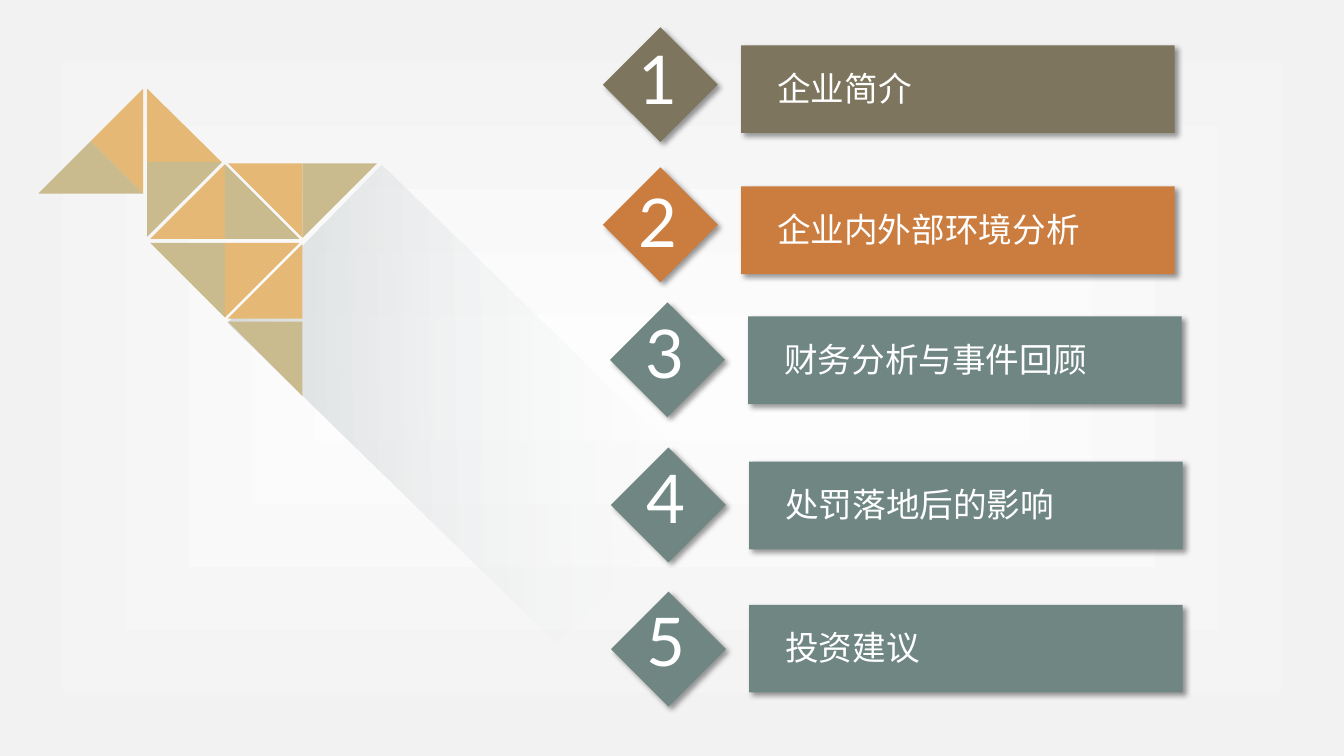
import pptx
import pptx.dml.color
import pptx.enum.shapes
import pptx.enum.text
import pptx.oxml
import pptx.oxml.ns
import pptx.util
from lxml import etree

PX = 9144  # 100 px to the inch
SHAPE = pptx.enum.shapes.MSO_SHAPE
qn = pptx.oxml.ns.qn
GOLD, SAND = "E6B875", "CABB8F"
OLIVE, RUST, TEAL = "7D755D", "CB7D40", "6F8683"

# Corners of each triangle, within the bird's box
BIRD = [
    (GOLD, (104, 0), (52, 52), (104, 104)),
    (SAND, (104, 104), (52, 52), (0, 104)),
    (GOLD, (108, 0), (108, 73), (182, 73)),
    (SAND, (182, 73), (108, 73), (108, 147)),
    (GOLD, (111, 149), (185, 149), (185, 75)),
    (SAND, (185, 75), (185, 149), (259, 149)),
    (GOLD, (259, 153), (185, 153), (185, 227)),
    (SAND, (185, 227), (185, 153), (111, 153)),
    (SAND, (336, 74), (262, 74), (262, 148)),
    (GOLD, (262, 148), (262, 74), (188, 74)),
    (SAND, (262, 305), (262, 231), (188, 231)),
    (GOLD, (188, 228), (262, 228), (262, 154)),
]

# Left and top of the row, drop of the number and of the bar, colour, label
ROWS = [
    (598, 27, 5, 18, OLIVE, "企业简介"),
    (598, 166, 8, 19, RUST, "企业内外部环境分析"),
    (605, 300, 4, 14, TEAL, "财务分析与事件回顾"),
    (606, 444, 4, 14, TEAL, "处罚落地后的影响"),
    (606, 587, 3, 13, TEAL, "投资建议"),
]


def px(*sizes):
    return [pptx.util.Emu(size * PX) for size in sizes]


def rgb(code):
    return pptx.dml.color.RGBColor.from_string(code)


def paint(shape, code):
    shape.shadow.inherit = False
    shape.fill.solid()
    shape.fill.fore_color.rgb = rgb(code)
    shape.line.fill.background()


def blend(fill, *codes):
    """Give a fill a two-stop gradient."""
    fill.gradient()
    for stop, code, place in zip(fill.gradient_stops, codes, (0, 1)):
        stop.color.rgb = rgb(code)
        stop.position = place


def cast(shape):
    """Add a soft shadow to the lower right."""
    effects = shape._element.spPr.find(qn("a:effectLst"))
    outer = etree.SubElement(
        effects, qn("a:outerShdw"), blurRad=str(pptx.util.Pt(4)),
        dist=str(pptx.util.Pt(3)), dir="2700000", algn="tl", rotWithShape="0")
    black = etree.SubElement(outer, qn("a:srgbClr"), val="000000")
    etree.SubElement(black, qn("a:alpha"), val="40000")


def block(slide, kind, box, code):
    shape = slide.shapes.add_shape(kind, *px(*box))
    paint(shape, code)
    cast(shape)


def write(slide, box, text, size, face):
    frame = slide.shapes.add_textbox(*px(*box)).text_frame
    frame.word_wrap = False
    frame.auto_size = pptx.enum.text.MSO_AUTO_SIZE.SHAPE_TO_FIT_TEXT
    para = frame.paragraphs[0]
    para.text = text
    para.font.size = pptx.util.Pt(size)
    para.font.color.rgb = rgb("FFFFFF")
    para.font.name = face
    props = para._p.pPr.find(qn("a:defRPr"))
    etree.SubElement(props, qn("a:ea"), typeface=face)


def backdrop(slide):
    blend(slide.background.fill, "FDFDFD", "F2F2F2")
    grad = next(slide._element.iter(qn("a:gradFill")))
    grad.remove(grad.find(qn("a:lin")))
    focus = etree.SubElement(grad, qn("a:path"), path="shape")
    etree.SubElement(focus, qn("a:fillToRect"),
                     l="50000", t="50000", r="50000", b="50000")


def bird(slide, left, top):
    """Draw the triangle bird and the long pale shade it throws."""
    group = slide.shapes.add_group_shape()
    shade = group.shapes.add_shape(
        SHAPE.RECTANGLE, *px(left + 199, top + 203, 456, 219))
    shade.rotation = 44.3
    shade.shadow.inherit = False
    shade.line.fill.background()
    blend(shade.fill, "FDFDFD", "D7DBDC")
    shade.fill.gradient_angle = 225
    pale = next(shade._element.spPr.iter(qn("a:srgbClr")))
    etree.SubElement(pale, qn("a:alpha"), val="6000")
    for code, *corners in BIRD:
        first, *rest = [(left + x, top + y) for x, y in corners]
        pen = group.shapes.build_freeform(*first, scale=PX)
        pen.add_line_segments(rest, close=True)
        paint(pen.convert_to_shape(), code)


def row(slide, number, left, top, drop, fall, code, label):
    block(slide, SHAPE.DIAMOND, (left, top, 114, 114), code)
    write(slide, (left + 25, top + drop, 64, 91), str(number), 48, "Lato")
    bar = left + 137
    block(slide, SHAPE.RECTANGLE, (bar, top + fall, 430, 87), code)
    # 24 pt characters are just over 33 px wide; the rest is inset and slack
    write(slide, (bar + 26, top + fall + 17, 33 * len(label) + 27, 50),
          label, 24, "Noto Sans CJK SC")


def main():
    deck = pptx.Presentation()
    deck.slide_width, deck.slide_height = px(1333, 750)
    slide = deck.slides.add_slide(deck.slide_layouts[6])
    backdrop(slide)
    bird(slide, 38, 88)
    for number, item in enumerate(ROWS, 1):
        row(slide, number, *item)
    deck.save("out.pptx")


if __name__ == "__main__":
    main()
